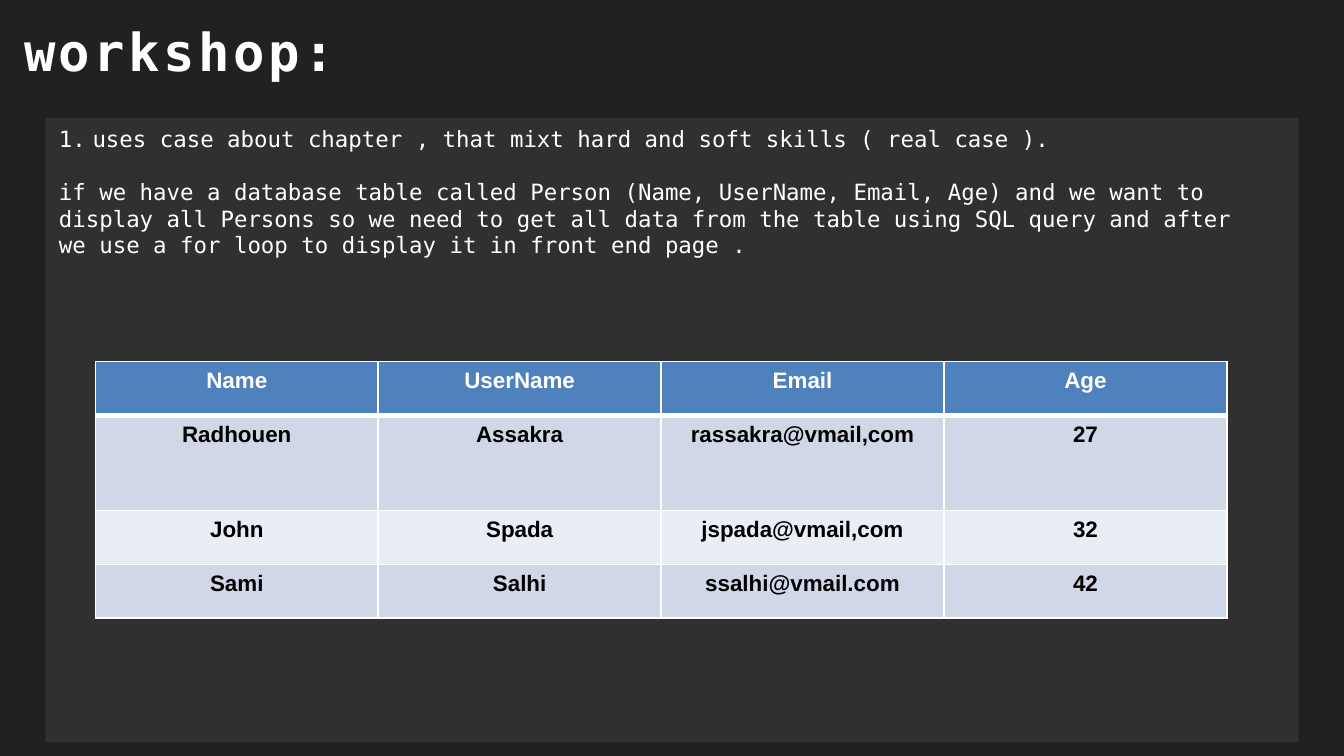
import pptx
import pptx.dml.color
import pptx.enum.shapes
import pptx.enum.text
import pptx.oxml
import pptx.oxml.ns
import pptx.util
from lxml import etree

Inches = pptx.util.Inches
Pt = pptx.util.Pt
ALIGN = pptx.enum.text.PP_ALIGN
MONO = "DejaVu Sans Mono"

COLORS = {
    "background": "212121",
    "panel": "303030",
    "white": "FFFFFF",
    "black": "000000",
    "header": "4F81BD",
    "band_dark": "D0D8E8",
    "band_light": "E9EDF4",
}

PEOPLE = [
    ("Name", "UserName", "Email", "Age"),
    ("Radhouen", "Assakra", "rassakra@vmail,com", "27"),
    ("John", "Spada", "jspada@vmail,com", "32"),
    ("Sami", "Salhi", "ssalhi@vmail.com", "42"),
]
ROW_HEIGHTS = [0.4, 0.71, 0.4, 0.4]


def color(name):
    return pptx.dml.color.RGBColor.from_string(COLORS[name])


def add_element(parent, tag, **attributes):
    element = etree.SubElement(parent, pptx.oxml.ns.qn(tag))
    for name, value in attributes.items():
        element.set(name, str(value))
    return element


def write_text(frame, text, size=12, font=MONO, ink="white", bold=False,
               align=ALIGN.LEFT, before=0, spacing=None, number_indent=None):
    paragraph = frame.paragraphs[0]
    if paragraph.runs:
        paragraph = frame.add_paragraph()
    paragraph.alignment = align
    if before:
        paragraph.space_before = Pt(before)
    if number_indent:
        properties = paragraph._p.get_or_add_pPr()
        properties.set("marL", str(Inches(number_indent)))
        properties.set("indent", str(-Inches(number_indent)))
        bullet_color = add_element(properties, "a:buClr")
        add_element(bullet_color, "a:srgbClr", val=COLORS[ink])
        add_element(properties, "a:buFont", typeface=font)
        add_element(properties, "a:buAutoNum", type="arabicPeriod")
    run = paragraph.add_run()
    run.text = text
    run.font.size = Pt(size)
    run.font.name = font
    run.font.bold = bold
    run.font.color.rgb = color(ink)
    if spacing:
        run._r.get_or_add_rPr().set("spc", str(round(spacing * 100)))


def add_title(slide, left, top, width, height):
    box = slide.shapes.add_textbox(Inches(left), Inches(top), Inches(width), Inches(height))
    frame = box.text_frame
    frame.word_wrap = True
    frame.margin_left = Inches(0.01)
    frame.margin_right = frame.margin_bottom = 0
    frame.margin_top = Inches(0.02)
    write_text(frame, "workshop:", size=28, bold=True, spacing=1.9)


def add_panel(slide, left, top, width, height):
    panel = slide.shapes.add_shape(
        pptx.enum.shapes.MSO_SHAPE.RECTANGLE,
        Inches(left), Inches(top), Inches(width), Inches(height))
    panel.shadow.inherit = False
    panel.fill.solid()
    panel.fill.fore_color.rgb = color("panel")
    panel.line.fill.background()
    frame = panel.text_frame
    frame.word_wrap = True
    frame.vertical_anchor = pptx.enum.text.MSO_ANCHOR.TOP
    write_text(frame, "uses case about chapter , that mixt hard and soft skills ( real case ).",
               number_indent=0.25)
    write_text(frame, "if we have a database table called Person (Name, UserName, Email, Age) "
               "and we want to display all Persons so we need to get all data from the table "
               "using SQL query and after", before=14)
    write_text(frame, "we use a for loop to display it in front end page .")


def set_borders(cell, **widths):
    properties = cell._tc.get_or_add_tcPr()
    for side in "LRTB":
        line = add_element(properties, f"a:ln{side}", w=Pt(widths.get(side, 1)))
        fill = add_element(line, "a:solidFill")
        add_element(fill, "a:srgbClr", val=COLORS["white"])


def add_person_table(slide, left, top, width, row_heights):
    table = slide.shapes.add_table(
        len(PEOPLE), len(PEOPLE[0]), Inches(left), Inches(top),
        Inches(width), Inches(sum(row_heights))).table
    for column in table.columns:
        column.width = Inches(width / len(PEOPLE[0]))
    for index, (person, height) in enumerate(zip(PEOPLE, row_heights)):
        table.rows[index].height = Inches(height)
        band = "header" if index == 0 else ("band_light", "band_dark")[index % 2]
        widths = {0: {"B": 3}, 1: {"T": 3}}.get(index, {})
        for cell, value in zip(table.rows[index].cells, person):
            set_borders(cell, **widths)
            cell.fill.solid()
            cell.fill.fore_color.rgb = color(band)
            write_text(cell.text_frame, value, font="Arial", bold=True, align=ALIGN.CENTER,
                       ink="white" if index == 0 else "black")


def build_workshop_slide(presentation):
    slide = presentation.slides.add_slide(presentation.slide_layouts[6])
    slide.background.fill.solid()
    slide.background.fill.fore_color.rgb = color("background")
    add_title(slide, 0.17, 0.12, 9.66, 0.66)
    add_panel(slide, 0.34, 0.88, 9.32, 4.64)
    add_person_table(slide, 0.71, 2.69, 8.42, ROW_HEIGHTS)


def main():
    presentation = pptx.Presentation()
    presentation.slide_width = Inches(10)
    presentation.slide_height = presentation.slide_width * 9 // 16
    build_workshop_slide(presentation)
    presentation.save("out.pptx")


if __name__ == "__main__":
    main()
